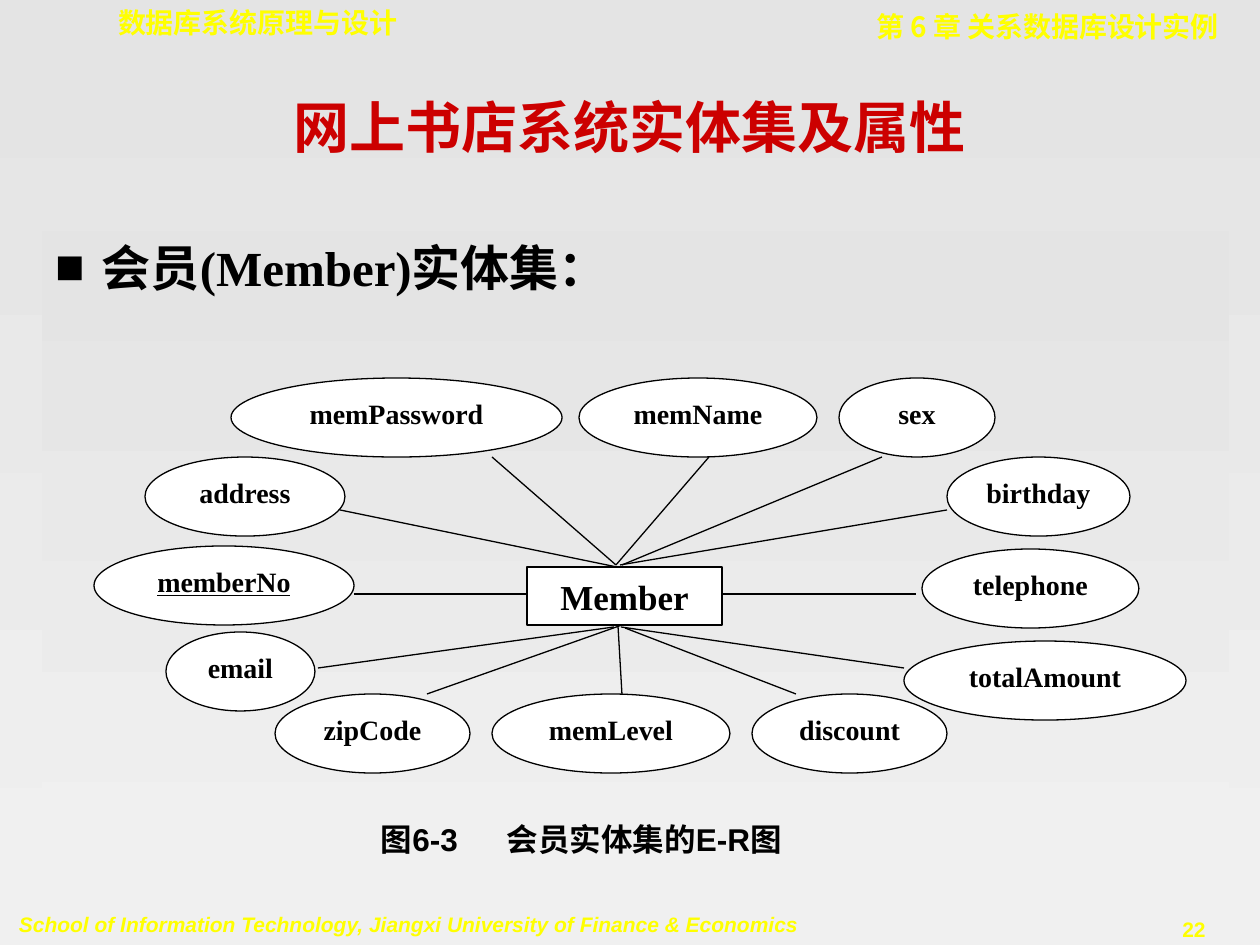
from lxml import etree
from pptx import Presentation, util as u
from pptx.dml.color import RGBColor
from pptx.enum import shapes as es, text as et
from pptx.oxml import ns

BLACK = RGBColor(0, 0, 0)
WHITE = RGBColor(255, 255, 255)
RED = RGBColor(0xCC, 0, 0)
YELLOW = RGBColor(255, 255, 0)
DIM = RGBColor(0xE4, 0xE4, 0xE4)
PALE = RGBColor(0xF0, 0xF0, 0xF0)

SERIF, SANS = "Times New Roman", "Arial"
MONO, HAN = "DejaVu Sans Mono", "Noto Sans CJK SC"
LEFT, MID, RIGHT = et.PP_ALIGN.LEFT, et.PP_ALIGN.CENTER, et.PP_ALIGN.RIGHT
RECT, OVAL = es.MSO_SHAPE.RECTANGLE, es.MSO_SHAPE.OVAL
SCALE = 914400 / 126


def px(n):
    return u.Emu(round(n * SCALE))


def sub(node, tag, **attrs):
    return etree.SubElement(node, ns.qn(tag), **attrs)


class Deck:
    def __init__(self):
        self.prs = Presentation()
        self.prs.slide_width, self.prs.slide_height = px(1260), px(945)
        self.slide = self.prs.slides.add_slide(self.prs.slide_layouts[1])
        self.shade(self.slide.background.fill)

    def shade(self, fill):
        fill.gradient()
        fill.gradient_angle = 270
        for stop, color in zip(fill.gradient_stops, (DIM, PALE)):
            stop.color.rgb = color

    def place(self, shape, box):
        shape.left, shape.top, shape.width, shape.height = map(px, box)

    def letter(self, shape, words, size, font, color=BLACK, align=LEFT,
               inset=(13, 6), wrap=True, lead=1.0, anchor=et.MSO_ANCHOR.TOP,
               italic=False, line=False):
        frame = shape.text_frame
        frame.word_wrap = wrap
        frame.auto_size = et.MSO_AUTO_SIZE.NONE
        frame.vertical_anchor = anchor
        frame.margin_left = frame.margin_right = px(inset[0])
        frame.margin_top = frame.margin_bottom = px(inset[1])
        para = frame.paragraphs[0]
        para.alignment, para.line_spacing = align, lead
        para.space_before = u.Pt(0)
        run = para.add_run()
        run.text = words
        face = run.font
        face.name, face.size, face.bold = font, u.Pt(size), True
        face.italic, face.underline = italic, line
        face.color.rgb = color
        sub(run._r.get_or_add_rPr(), "a:ea", typeface=HAN)
        return para

    def label(self, box, words, size, font, **style):
        shape = self.slide.shapes.add_textbox(*map(px, box))
        return self.letter(shape, words, size, font, **style)

    def title(self, box, words):
        shape = self.slide.shapes.title
        self.place(shape, box)
        self.letter(shape, words, 32, SERIF, RED, MID,
                    anchor=et.MSO_ANCHOR.MIDDLE)

    def body(self, box, words):
        shape = self.slide.placeholders[1]
        self.place(shape, box)
        self.shade(shape.fill)
        props = self.letter(shape, words, 28, SERIF)._p.get_or_add_pPr()
        props.set("marL", str(px(47)))
        props.set("indent", str(px(-47)))
        tint = sub(props, "a:buClr")
        sub(tint, "a:srgbClr", val=str(BLACK))
        sub(props, "a:buFont", typeface=SANS)
        sub(props, "a:buChar", char="■")

    def node(self, kind, box, words, size=16, line=False):
        shape = self.slide.shapes.add_shape(kind, *map(px, box))
        shape.shadow.inherit = False
        shape.fill.solid()
        shape.fill.fore_color.rgb = WHITE
        shape.line.color.rgb, shape.line.width = BLACK, u.Pt(0.75)
        self.letter(shape, words, size, SERIF, align=MID, inset=(0, 0),
                    lead=1.2, line=line)

    def link(self, ends):
        wire = self.slide.shapes.add_connector(
            es.MSO_CONNECTOR.STRAIGHT, *map(px, ends))
        wire.line.color.rgb, wire.line.width = BLACK, u.Pt(0.75)
        sub(wire._element.spPr, "a:effectLst")


def main():
    deck = Deck()

    # Header and footer
    deck.label((105, 0, 461, 47), "数据库系统原理与设计", 16, MONO, color=YELLOW)
    deck.label((684, 4, 548, 47), "第 6 章 关系数据库设计实例", 16, HAN,
               color=YELLOW, align=RIGHT)
    deck.label((6, 906, 806, 38), "School of Information Technology, "
               "Jiangxi University of Finance & Economics", 12, SANS,
               color=YELLOW, italic=True, wrap=False)
    deck.label((1131, 911, 126, 38), "22", 12, SANS, color=YELLOW,
               align=MID, wrap=False)

    # Title and list
    deck.title((94, 84, 1071, 84), "网上书店系统实体集及属性")
    deck.body((42, 231, 1187, 661), "会员(Member)实体集：")

    # Entity
    deck.node(RECT, (527, 567, 195, 58), "Member", 20)

    # Attributes: left, top, width, with the key underlined
    for name, x, y, w in (
            ("memberNo", 94, 546, 260), ("memPassword", 231, 378, 331),
            ("memName", 579, 378, 238), ("sex", 839, 378, 156),
            ("birthday", 947, 457, 183), ("zipCode", 275, 694, 195),
            ("memLevel", 492, 694, 238), ("discount", 752, 694, 195),
            ("address", 145, 457, 200), ("telephone", 922, 549, 217),
            ("email", 166, 632, 149), ("totalAmount", 904, 641, 282)):
        deck.node(OVAL, (x, y, w, 79), name, line=name == "memberNo")

    # Links between entity and attributes
    for ends in (
            (340, 510, 617, 567), (354, 594, 528, 594), (614, 627, 318, 668),
            (427, 694, 622, 625), (618, 626, 622, 694), (721, 594, 916, 594),
            (625, 628, 796, 694), (492, 457, 616, 565), (616, 565, 709, 457),
            (622, 565, 882, 457), (620, 565, 947, 510), (621, 627, 904, 668)):
        deck.link(ends)

    # Caption, with a tab stop after the figure number
    para = deck.label((368, 806, 599, 58), "图6-3\t会员实体集的E-R图", 18, SANS,
                      lead=1.2)
    stops = sub(para._p.get_or_add_pPr(), "a:tabLst")
    sub(stops, "a:tab", pos=str(px(126)), algn="l")

    deck.prs.save("out.pptx")


if __name__ == "__main__":
    main()
